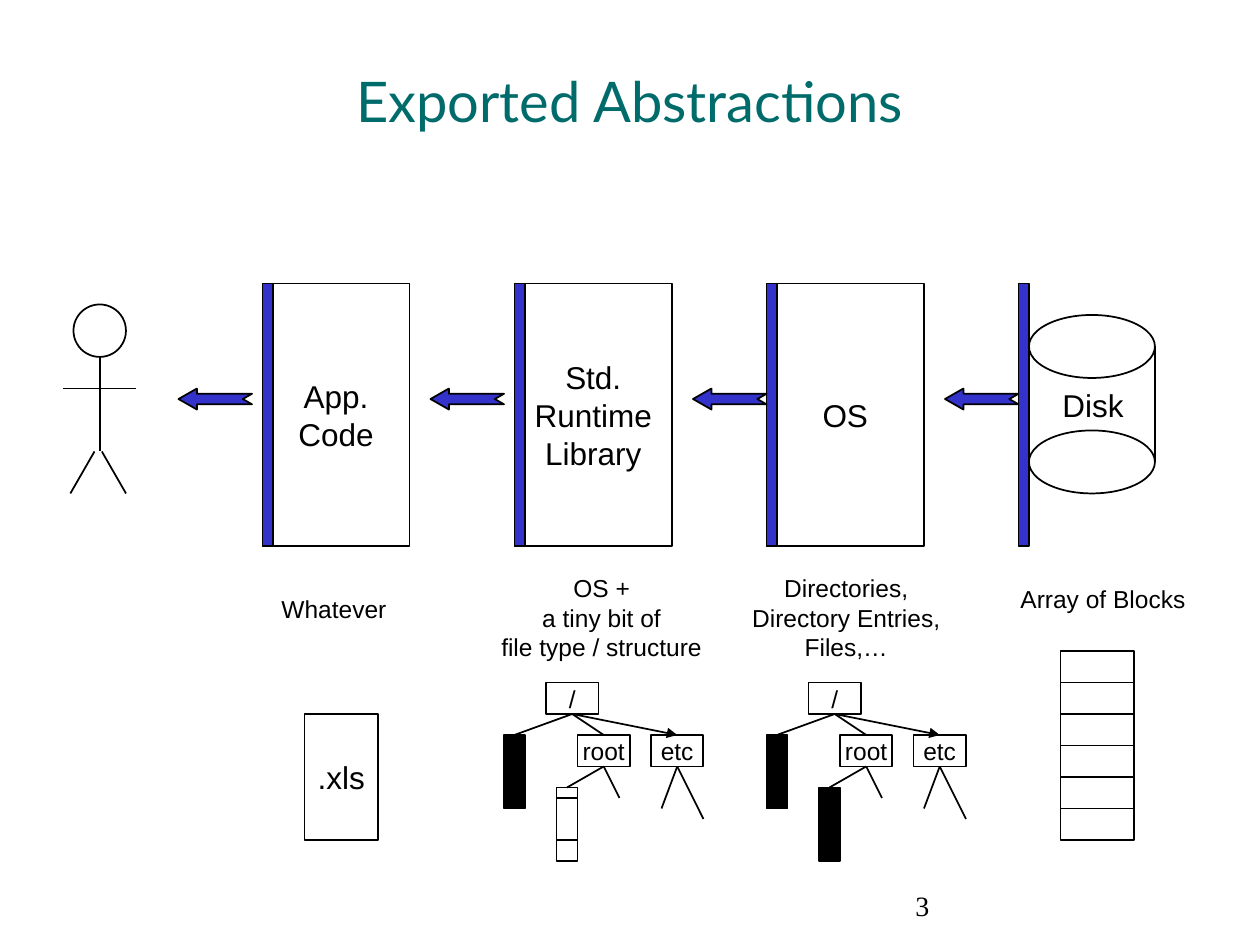
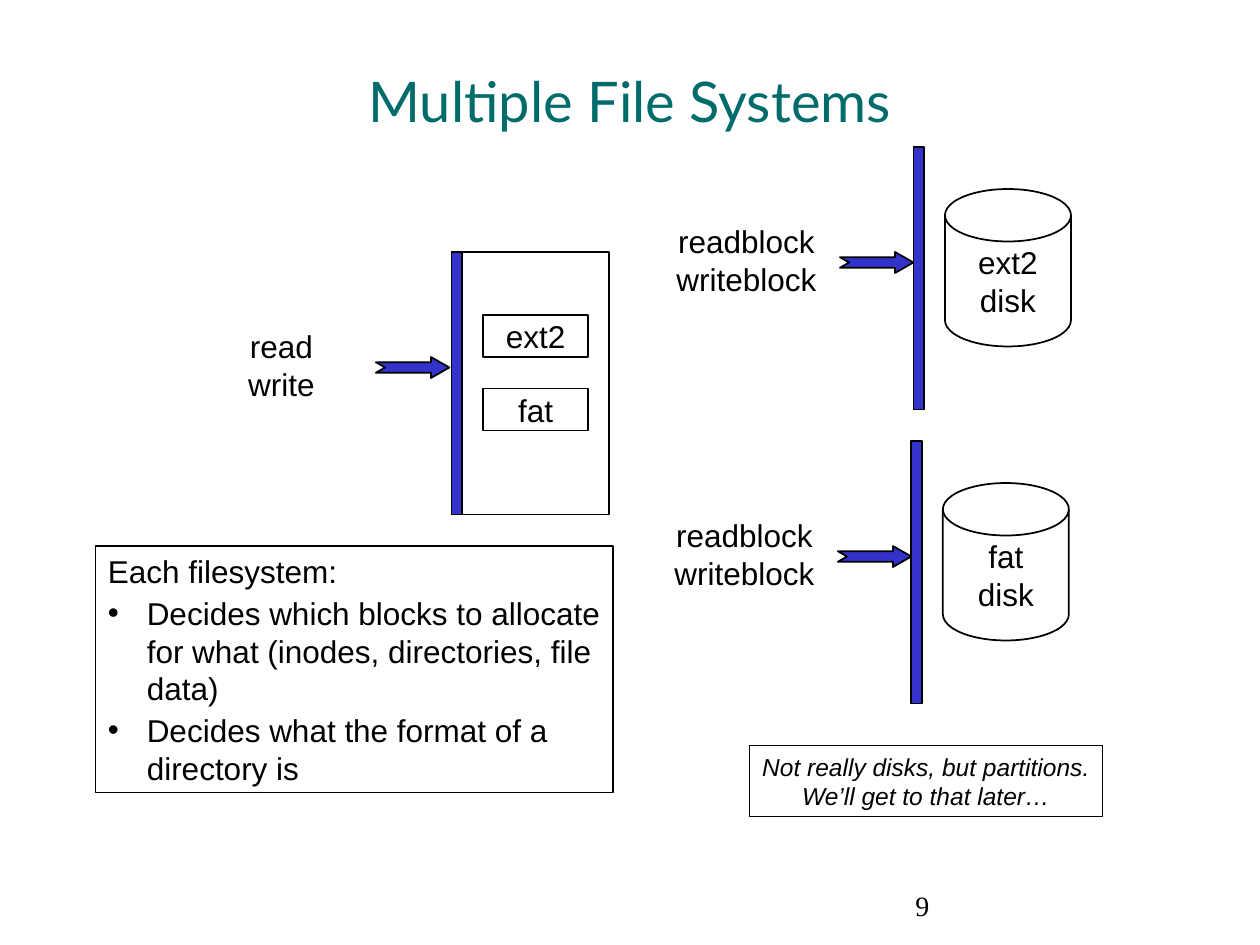
from copy import deepcopy
from lxml.etree import SubElement
from pptx import Presentation
from pptx.dml.color import RGBColor
from pptx.enum.shapes import MSO_CONNECTOR, MSO_SHAPE
from pptx.enum.text import MSO_ANCHOR, MSO_AUTO_SIZE, PP_ALIGN
from pptx.oxml.ns import qn
from pptx.util import Emu, Pt

# Shared look: 120 px to the inch
SCALE = 7620
COLORS = {"title": "006B6B", "blue": "3333CC", "black": "000000", "white": "FFFFFF"}
BODY, HEAD, FOOT = "Arial", "Lato", "Times New Roman"
TITLE = (90, 50, 1020, 90)
NUMBER = (860, 840, 250, 60)
BAR = (10, 250)
ARROW = (70, 20)
NODE = (50, 30)
BLOCK = (20, 70)
INDENT = 37

# Slide 1: layers, left to right
TOP = 270
PANES = [(250, 140, "App.\nCode"), (490, 150, "Std.\nRuntime\nLibrary"), (730, 150, "OS")]
DISK_X = 970
FLOWS = [170, 410, 660, 900]
CAPTIONS = [
    ("Whatever", (256, 560, 124, 41)),
    ("OS +\na tiny bit of\nfile type / structure", (465, 540, 216, 96)),
    ("Directories,\nDirectory Entries,\nFiles,…", (702, 540, 208, 96)),
    ("Array of Blocks", (960, 550, 181, 41)),
]
LIMBS = [
    ((95, 340), (95, 430)), ((60, 370), (130, 370)),
    ((90, 430), (67, 470)), ((97, 430), (120, 470)),
]
STACK = (1010, 620, 70, 180)
CELLS = 6

# Directory tree, relative to its left top corner
TREES = [(480, 650, None), (730, 650, "black")]
NODES = [("/", 40, 0), ("root", 70, 50), ("etc", 140, 50)]
EDGES = [
    ((65, 30), (10, 50)), ((65, 30), (95, 50)),
    ((95, 80), (60, 100)), ((95, 80), (110, 110)),
    ((165, 80), (150, 120)), ((165, 80), (190, 130)),
]
POINTER = ((65, 30), (165, 50))
CUTS = [110, 150]

# Slide 2: file systems and their disks
SYSTEM = (430, 240, 150)
KINDS = ["ext2", "fat"]
DISKS = [(870, 140), (868, 420)]
POINTS = [
    ("Each filesystem:", False),
    ("Decides which blocks to allocate\nfor what (inodes, directories, file \ndata)", True),
    ("Decides what the format of a \ndirectory is", True),
]
NOTE = "Not really disks, but partitions.\nWe’ll get to that later…"


def px(*nums):
    return [Emu(round(n * SCALE)) for n in nums]


def color(name):
    return RGBColor.from_string(COLORS[name])


def style(par, size, face=BODY, tint="black", italic=None):
    for run in par.runs:
        font = run.font
        font.size, font.name, font.italic = Pt(size), face, italic
        font.color.rgb = color(tint)
    # Line breaks take the size of the text around them
    for gap in par._p.findall(qn("a:br")):
        gap.append(deepcopy(par.runs[0]._r.rPr))


def write(frame, text, size, italic=None):
    frame.word_wrap = False
    par = frame.paragraphs[0]
    par.text = text
    par.alignment = PP_ALIGN.CENTER
    style(par, size, italic=italic)


class Page:
    def __init__(self, deck, title, number):
        self.slide = deck.slides.add_slide(deck.slide_layouts[5])
        self.shapes = self.slide.shapes
        self.sides = {}
        head = self.shapes.title
        head.left, head.top, head.width, head.height = px(*TITLE)
        frame = head.text_frame
        frame.text = title
        frame.vertical_anchor = MSO_ANCHOR.MIDDLE
        frame.paragraphs[0].alignment = PP_ALIGN.CENTER
        style(frame.paragraphs[0], 32, HEAD, "title")
        foot = self.shapes.add_textbox(*px(*NUMBER)).text_frame
        foot.word_wrap = True
        foot.text = number
        style(foot.paragraphs[0], 16, FOOT)

    def shape(self, kind, box, fill=None, text="", size=18, width=1):
        item = self.shapes.add_shape(kind, *px(*box))
        item.shadow.inherit = False
        if fill:
            item.fill.solid()
            item.fill.fore_color.rgb = color(fill)
        else:
            item.fill.background()
        item.line.color.rgb = color("black")
        item.line.width = Pt(width)
        if text:
            write(item.text_frame, text, size)
            item.text_frame.vertical_anchor = MSO_ANCHOR.MIDDLE
        return item

    def rect(self, box, *args, **opts):
        item = self.shape(MSO_SHAPE.RECTANGLE, box, *args, **opts)
        x, y, w, h = box
        mids = [(x + w / 2, y), (x, y + h / 2), (x + w / 2, y + h), (x + w, y + h / 2)]
        for site, mid in enumerate(mids):
            self.sides[mid] = (item, site)
        return item

    def line(self, start, end, arrow=False):
        item = self.shapes.add_connector(MSO_CONNECTOR.STRAIGHT, *px(*start, *end))
        # Join ends that meet the middle of a rectangle's side
        if start in self.sides:
            item.begin_connect(*self.sides[start])
        if end in self.sides:
            item.end_connect(*self.sides[end])
        item.line.color.rgb = color("black")
        item.line.width = Pt(1)
        if arrow:
            SubElement(item.line._get_or_add_ln(), qn("a:tailEnd")).set("type", "triangle")
        SubElement(item._element.spPr, qn("a:effectLst"))

    def label(self, text, box, size):
        frame = self.shapes.add_textbox(*px(*box)).text_frame
        frame.auto_size = MSO_AUTO_SIZE.SHAPE_TO_FIT_TEXT
        write(frame, text, size)

    def bar(self, x, y):
        self.rect((x, y, *BAR), "blue")

    def pane(self, x, y, w, text=""):
        self.rect((x, y, w, BAR[1]), text=text)
        self.bar(x, y)

    def flow(self, x, y, turn=0):
        item = self.shape(MSO_SHAPE.NOTCHED_RIGHT_ARROW, (x, y, *ARROW), "blue")
        item.adjustments[1] = 0.875
        item.rotation = turn

    def tree(self, left, top, fill):
        def at(spot):
            return left + spot[0], top + spot[1]

        for name, x, y in NODES:
            self.rect((*at((x, y)), *NODE), text=name, size=14)
        self.rect((*at((0, 50)), *BLOCK), "black")
        self.rect((*at((50, 100)), *BLOCK), fill)
        for start, end in EDGES:
            self.line(at(start), at(end))
        self.line(at(POINTER[0]), at(POINTER[1]), arrow=True)
        if not fill:
            for y in CUTS:
                self.line(at((50, y)), at((70, y)))


def layers(deck):
    page = Page(deck, "Exported Abstractions", "3")
    for x, w, name in PANES:
        page.pane(x, TOP, w, name)
    # Disk
    left, right = DISK_X + 10, DISK_X + 130
    for y in (300, 410):
        page.shape(MSO_SHAPE.OVAL, (left, y, 120, 60))
    for x in (left, right):
        page.line((x, 330), (x, 440))
    page.label("Disk", (1000, 362, 82, 48), 18)
    page.bar(DISK_X, TOP)
    # User
    page.shape(MSO_SHAPE.OVAL, (70, 290, 50, 50))
    for start, end in LIMBS:
        page.line(start, end)
    for x in FLOWS:
        page.flow(x, 370, 180)
    # What each layer shows
    for text, box in CAPTIONS:
        page.label(text, box, 14)
    page.rect((290, 680, 70, 120), text=".xls")
    for tree in TREES:
        page.tree(*tree)
    x, y, w, h = STACK
    page.rect(STACK)
    for row in range(1, CELLS):
        level = y + row * h // CELLS
        page.line((x, level), (x + w, level))


def systems(deck):
    page = Page(deck, "Multiple File Systems", "9")
    page.pane(*SYSTEM)
    page.flow(358, 340)
    page.label("read\nwrite", (224, 306, 88, 84), 18)
    for row, kind in enumerate(KINDS):
        page.rect((460, 300 + 70 * row, 100, 40), "white", kind)
    # One disk for each kind
    for kind, (x, y) in zip(KINDS, DISKS):
        page.bar(x, y)
        page.flow(x - 70, y + 100)
        page.label("readblock\nwriteblock", (x - 238, y + 66, 158, 84), 18)
        box = (x + 30, y + 40, 120, 150)
        page.shape(MSO_SHAPE.FLOWCHART_MAGNETIC_DISK, box, "white", kind + "\ndisk")
    # Remarks
    note = page.rect((714, 710, 336, 68), width=0.75).text_frame
    write(note, NOTE, 14, italic=True)
    note.vertical_anchor = MSO_ANCHOR.TOP
    frame = page.rect((91, 520, 493, 235), width=0.75).text_frame
    frame.word_wrap = False
    frame.vertical_anchor = MSO_ANCHOR.TOP
    for row, (text, dot) in enumerate(POINTS):
        par = frame.add_paragraph() if row else frame.paragraphs[0]
        par.text = text
        par.alignment = PP_ALIGN.LEFT
        props = par._p.get_or_add_pPr()
        props.set("marL", str(INDENT * SCALE))
        props.set("indent", str(-INDENT * SCALE))
        if dot:
            par.space_before = Pt(2.2)
            SubElement(props, qn("a:buFont")).set("typeface", BODY)
            SubElement(props, qn("a:buChar")).set("char", "•")
        style(par, 18)


def main():
    deck = Presentation()
    deck.slide_width, deck.slide_height = px(1200, 900)
    layers(deck)
    systems(deck)
    deck.save("out.pptx")


if __name__ == "__main__":
    main()
